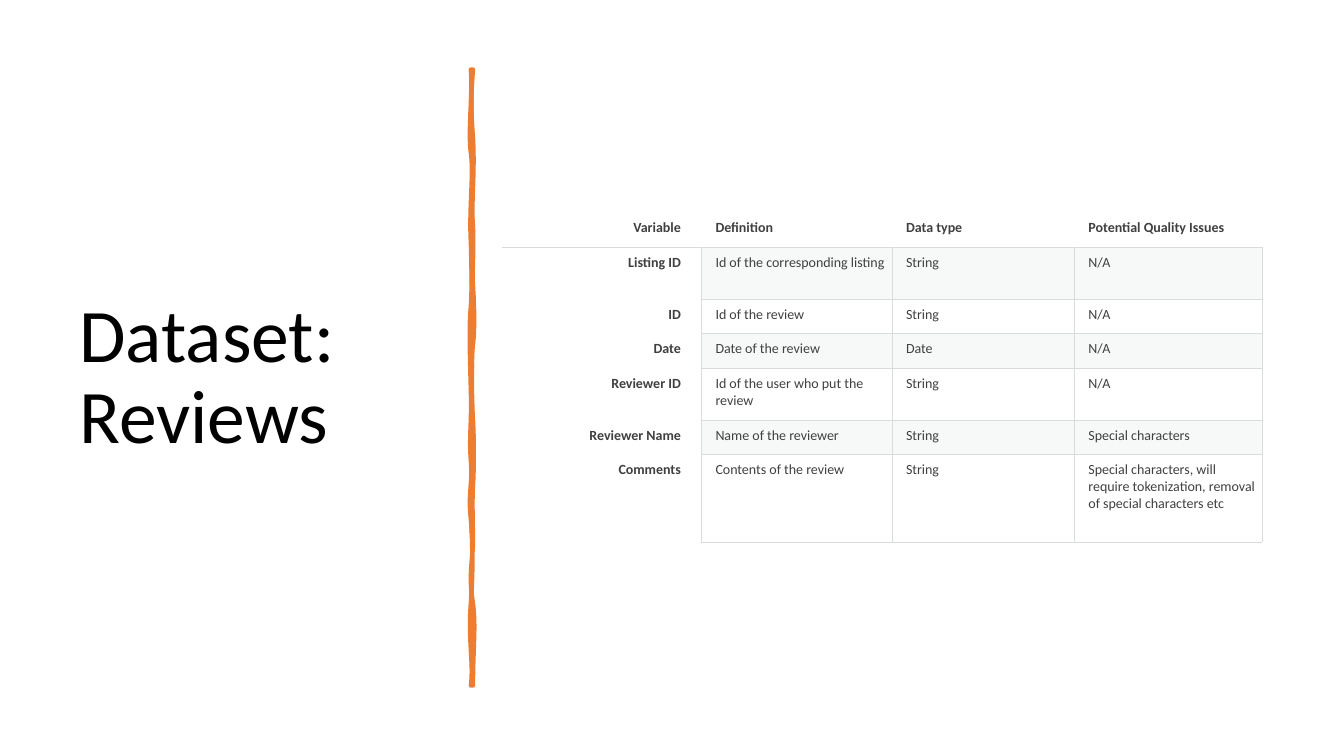
from lxml import etree
from pptx import Presentation
from pptx.dml.color import RGBColor
from pptx.enum.text import MSO_ANCHOR, PP_ALIGN
from pptx.oxml.ns import qn
from pptx.util import Pt

LEFT, RIGHT = PP_ALIGN.LEFT, PP_ALIGN.RIGHT
MIDDLE = MSO_ANCHOR.MIDDLE

TITLE = "Dataset: Reviews"
ROWS = [
    ("Variable", "Definition", "Data type", "Potential Quality Issues"),
    ("Listing ID", "Id of the corresponding listing", "String", "N/A"),
    ("ID", "Id of the review", "String", "N/A"),
    ("Date", "Date of the review", "Date", "N/A"),
    ("Reviewer ID", "Id of the user who put the review", "String", "N/A"),
    ("Reviewer Name", "Name of the reviewer", "String", "Special characters "),
    ("Comments", "Contents of the review", "String",
     "Special characters, will require tokenization, removal of special characters etc"),
]
THEME = {
    "font": "Calibri", "title_size": 54, "cell_size": 10,
    "title": "000000", "text": "404040", "accent": "ED7D31",
    "border": "D8DCDC", "band": "D8DEDC", "band_alpha": 20,
    "border_width": 0.75, "brush_width": 3.25,
}
TITLE_BOX = (49.7, 50.4, 269.3, 439.9)
TABLE_LEFT, TABLE_TOP = 358.6, 151.9
COLUMN_WIDTHS = [142.6, 136.1, 130.3, 133.9]
ROW_HEIGHTS = [24.6, 37.2, 24.6, 24.6, 37.2, 24.6, 62.6]
CELL_INSETS = {"left": 9.9, "top": 5, "right": 3.6, "bottom": 5}
FIRST_COLUMN_RIGHT = 14.9

BRUSH_LEFT, BRUSH_WIDTH, BRUSH_TOP, BRUSH_BOTTOM = 336.4, 1.4, 49.7, 489.6
# Each curve: first control x, y, second control x, y, end y
OUTLINE_DOWN = [
    (1.4, 68, -2.2, 94, 109), (2.2, 125, -1.4, 148, 173), (0.7, 199, 0.7, 207, 219),
    (-1.4, 231, -0.7, 254, 279), (0.7, 303, -1.4, 312, 329), (1.4, 347, -2.2, 352, 371),
    (1.4, 390, 1.4, 405, 431), (-2.2, 456, 2.2, 475, BRUSH_BOTTOM),
]
OUTLINE_UP = [
    (1.4, 463, 3.6, 448, 431), (-1.4, 413, 0.7, 404, 389), (1.4, 374, 0.7, 359, 347),
    (2.2, 336, 2.2, 312, 300), (0.7, 289, 0, 257, 246), (2.9, 234, 2.2, 216, 204),
    (0.7, 192, 2.2, 180, 162), (0, 144, 2.9, 125, 98), (-0.7, 72, 0.7, 60, BRUSH_TOP),
]
BODY_DOWN = [
    (-2.2, 63, 0.7, 84, 104), (-1.4, 126, 0, 146, 160), (0, 174, -2.2, 191, 219),
    (1.4, 248, -2.2, 254, 266), (1.4, 277, -0.7, 296, 325), (0.7, 354, -2.9, 368, 389),
    (2.9, 410, -2.9, 455, BRUSH_BOTTOM),
]
BODY_UP = [
    (-1.4, 464, 2.2, 453, 431), (0, 408, 2.2, 392, 375), (0, 358, 0.7, 347, 329),
    (2.2, 312, -0.7, 290, 274), (3.6, 259, 0.7, 243, 228), (1.4, 213, -0.7, 207, 187),
    (2.9, 166, 1.4, 158, 135), (0.7, 114, 2.9, 89, BRUSH_TOP),
]


def write_text(frame, text, *, size, color, bold=False, align=LEFT, spacing=0, line_spacing=1.0):
    frame.word_wrap = True
    paragraph = frame.paragraphs[0]
    paragraph.alignment = align
    paragraph.space_before = paragraph.space_after = Pt(spacing)
    paragraph.line_spacing = line_spacing
    run = paragraph.add_run()
    run.text = text
    run.font.name = THEME["font"]
    run.font.size = Pt(size)
    run.font.bold = bold
    run.font.color.rgb = RGBColor.from_string(color)


def add_element(parent, tag, **attributes):
    return etree.SubElement(parent, qn(tag), {key: str(value) for key, value in attributes.items()})


def add_point(parent, x, y):
    add_element(parent, "a:pt", x=int(Pt(x)), y=int(Pt(y - BRUSH_TOP)))


def add_brush_path(path_list, down, up, **attributes):
    path = add_element(path_list, "a:path", w=int(Pt(BRUSH_WIDTH)),
                       h=int(Pt(BRUSH_BOTTOM - BRUSH_TOP)), **attributes)
    add_point(add_element(path, "a:moveTo"), BRUSH_WIDTH, BRUSH_TOP)
    for edge_x, edge_y, curves in ((0, BRUSH_TOP, down), (BRUSH_WIDTH, BRUSH_BOTTOM, up)):
        add_point(add_element(path, "a:lnTo"), edge_x, edge_y)
        for first_x, first_y, second_x, second_y, end_y in curves:
            curve = add_element(path, "a:cubicBezTo")
            add_point(curve, first_x, first_y)
            add_point(curve, second_x, second_y)
            add_point(curve, edge_x, end_y)
    add_element(path, "a:close")


def add_brush_line(slide):
    right = BRUSH_LEFT + BRUSH_WIDTH
    builder = slide.shapes.build_freeform(Pt(BRUSH_LEFT), Pt(BRUSH_TOP))
    builder.add_line_segments([(Pt(right), Pt(BRUSH_TOP)), (Pt(right), Pt(BRUSH_BOTTOM)),
                               (Pt(BRUSH_LEFT), Pt(BRUSH_BOTTOM))])
    shape = builder.convert_to_shape()
    shape.shadow.inherit = False
    shape.fill.solid()
    shape.fill.fore_color.rgb = shape.line.color.rgb = RGBColor.from_string(THEME["accent"])
    shape.line.width = Pt(THEME["brush_width"])
    path_list = shape._element.spPr.find(".//" + qn("a:pathLst"))
    path_list.clear()
    add_brush_path(path_list, OUTLINE_DOWN, OUTLINE_UP, fill="none")
    add_brush_path(path_list, BODY_DOWN, BODY_UP, stroke=0)


def set_borders(cell, sides):
    properties = cell._tc.get_or_add_tcPr()
    for side in "LRTB":
        line = add_element(properties, f"a:ln{side}", w=int(Pt(THEME["border_width"])))
        if side in sides:
            add_element(add_element(line, "a:solidFill"), "a:srgbClr", val=THEME["border"])
        else:
            add_element(line, "a:noFill")


def set_fill(cell, banded):
    if not banded:
        cell.fill.background()
        return
    cell.fill.solid()
    cell.fill.fore_color.rgb = RGBColor.from_string(THEME["band"])
    color = cell._tc.tcPr.find(qn("a:solidFill")).find(qn("a:srgbClr"))
    add_element(color, "a:alpha", val=THEME["band_alpha"] * 1000)


def border_sides(row, column):
    if row == 0:
        return "B"
    if column == 0:
        return "TR" if row == 1 else "R"
    return "LRTB"


def add_variable_table(slide):
    table = slide.shapes.add_table(len(ROWS), len(COLUMN_WIDTHS), Pt(TABLE_LEFT), Pt(TABLE_TOP),
                                   Pt(sum(COLUMN_WIDTHS)), Pt(sum(ROW_HEIGHTS))).table
    table.first_row = table.horz_banding = False
    for column, width in zip(table.columns, COLUMN_WIDTHS):
        column.width = Pt(width)
    for row_index, (height, texts) in enumerate(zip(ROW_HEIGHTS, ROWS)):
        table.rows[row_index].height = Pt(height)
        for column_index, text in enumerate(texts):
            cell = table.cell(row_index, column_index)
            is_label = column_index == 0
            for side, inset in CELL_INSETS.items():
                setattr(cell, f"margin_{side}", Pt(inset))
            if is_label:
                cell.margin_right = Pt(FIRST_COLUMN_RIGHT)
            set_borders(cell, border_sides(row_index, column_index))
            set_fill(cell, row_index % 2 == 1 and not is_label)
            write_text(cell.text_frame, text, size=THEME["cell_size"], color=THEME["text"],
                       bold=is_label or row_index == 0, align=RIGHT if is_label else LEFT, spacing=6)


presentation = Presentation()
presentation.slide_width, presentation.slide_height = Pt(960), Pt(540)
slide = presentation.slides.add_slide(presentation.slide_layouts[6])
title = slide.shapes.add_textbox(*map(Pt, TITLE_BOX))
title.text_frame.vertical_anchor = MIDDLE
write_text(title.text_frame, TITLE, size=THEME["title_size"], color=THEME["title"], line_spacing=0.9)
add_brush_line(slide)
add_variable_table(slide)
presentation.save("out.pptx")
